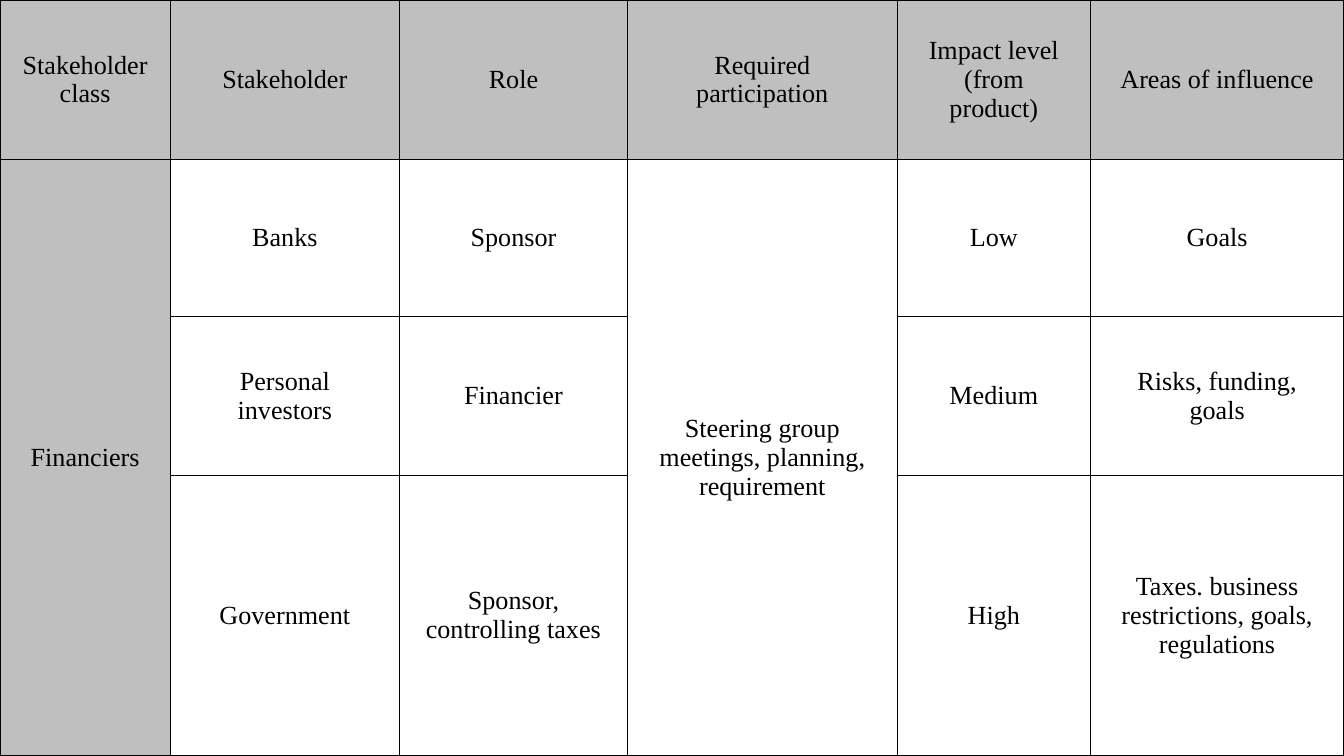
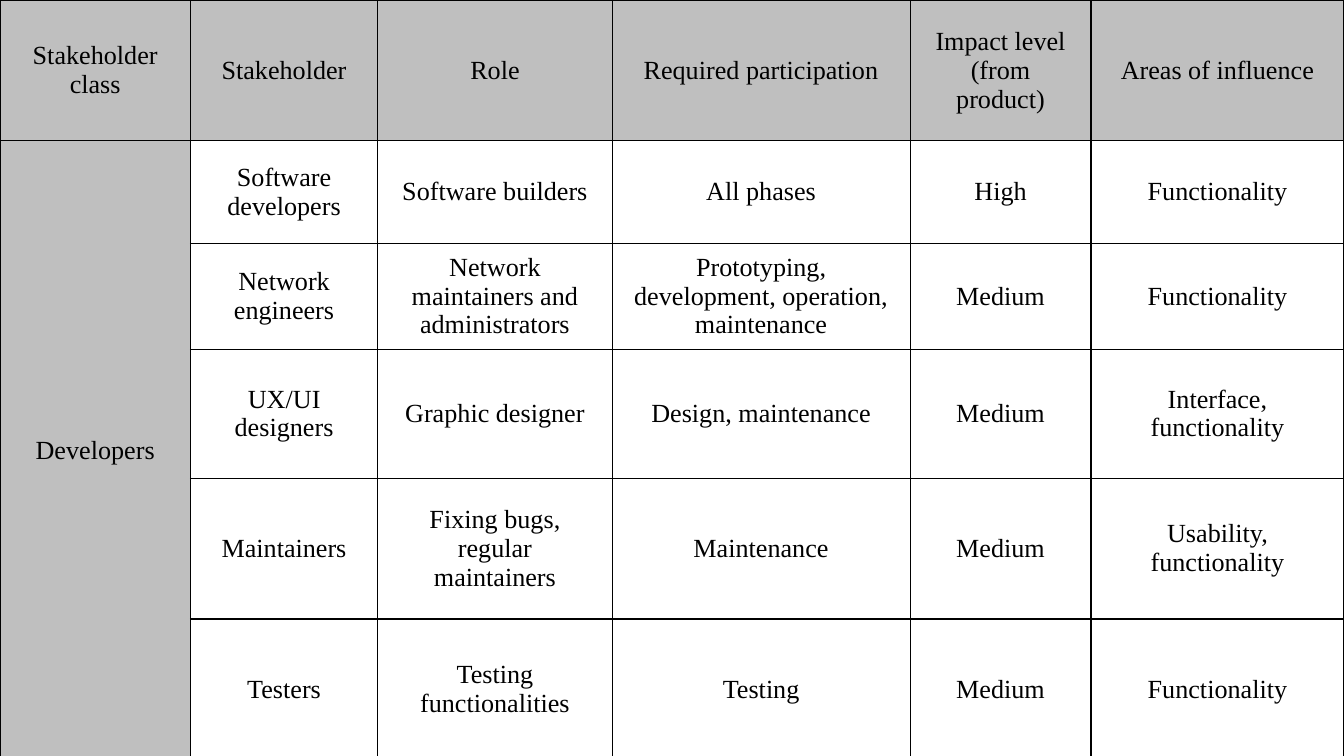
"""Build two stakeholder analysis tables: financiers and developers."""
from lxml import etree
from pptx import Presentation
from pptx import util as u
from pptx.dml.color import RGBColor
from pptx.enum import text
from pptx.oxml import ns

BLACK = RGBColor(0x00, 0x00, 0x00)
WHITE = RGBColor(0xFF, 0xFF, 0xFF)
GREY = RGBColor(0xBF, 0xBF, 0xBF)
BORDER_WIDTH = u.Pt(0.75)
WIDE_INSET = (0.38, 0.18)
NARROW_INSET = (0.08, 0.13)

HEADINGS = ["Stakeholder class", "Stakeholder", "Role", "Required participation",
            "Impact level (from product)", "Areas of influence"]

STAKEHOLDER_CLASSES = [
    {
        "widths": [3.22, 4.33, 4.31, 5.1, 3.65, 4.79],
        "heights": [3.01, 2.97, 3.01, 5.29],
        "merged": [0, 3],
        "rows": [
            ["Financiers", "Banks", "Sponsor",
             "Steering group meetings, planning, requirement", "Low", "Goals"],
            ["", "Personal investors", "Financier", "", "Medium", "Risks, funding, goals"],
            ["", "Government", "Sponsor, controlling taxes", "", "High",
             "Taxes. business restrictions, goals, regulations"],
        ],
    },
    {
        "widths": [3.6, 3.54, 4.43, 5.63, 3.42, 4.78],
        "heights": [2.66, 1.94, 1.94, 2.44, 2.66, 2.66],
        "merged": [0],
        "rows": [
            ["Developers", "Software developers", "Software builders", "All phases",
             "High", "Functionality"],
            ["", "Network engineers", "Network maintainers and administrators",
             "Prototyping, development, operation, maintenance", "Medium", "Functionality"],
            ["", "UX/UI designers", "Graphic designer", "Design, maintenance",
             "Medium", "Interface, functionality"],
            ["", "Maintainers", "Fixing bugs, regular maintainers", "Maintenance",
             "Medium", "Usability, functionality"],
            ["", "Testers", "Testing functionalities", "Testing", "Medium", "Functionality"],
        ],
    },
]


def write(cell, wording, fill=WHITE, inset=WIDE_INSET, size=14, font="Times New Roman"):
    cell.fill.solid()
    cell.fill.fore_color.rgb = fill
    cell.margin_left = cell.margin_right = u.Cm(inset[0])
    cell.margin_top = cell.margin_bottom = u.Cm(inset[1])
    cell.vertical_anchor = text.MSO_ANCHOR.MIDDLE
    paragraph = cell.text_frame.paragraphs[0]
    paragraph.alignment = text.PP_ALIGN.CENTER
    paragraph.font.size = u.Pt(size)
    if wording:
        run = paragraph.add_run()
        run.text = wording
        run.font.size = u.Pt(size)
        run.font.name = font
        run.font.color.rgb = BLACK


def add_borders(cell):
    properties = cell._tc.get_or_add_tcPr()
    for side in ("lnL", "lnR", "lnT", "lnB"):
        line = etree.SubElement(properties, ns.qn(f"a:{side}"), w=str(BORDER_WIDTH))
        solid = etree.SubElement(line, ns.qn("a:solidFill"))
        etree.SubElement(solid, ns.qn("a:srgbClr"), val=str(BLACK))


deck = Presentation()
deck.slide_width = u.Cm(25.4)
deck.slide_height = u.Cm(14.29)

for stakeholders in STAKEHOLDER_CLASSES:
    slide = deck.slides.add_slide(deck.slide_layouts[6])
    rows = [HEADINGS] + stakeholders["rows"]
    table = slide.shapes.add_table(
        len(rows), len(HEADINGS), 0, 0,
        u.Cm(sum(stakeholders["widths"])), u.Cm(sum(stakeholders["heights"]))).table
    table.first_row = False
    table.horz_banding = False
    for column, width in zip(table.columns, stakeholders["widths"]):
        column.width = u.Cm(width)
    for row, height in zip(table.rows, stakeholders["heights"]):
        row.height = u.Cm(height)

    for r, row in enumerate(rows):
        for c, wording in enumerate(row):
            cell = table.cell(r, c)
            add_borders(cell)
            write(cell, wording,
                  fill=GREY if r == 0 or c == 0 else WHITE,
                  inset=NARROW_INSET if wording == "Graphic designer" else WIDE_INSET)

    for c in stakeholders["merged"]:
        table.cell(1, c).merge(table.cell(len(rows) - 1, c))

deck.save("out.pptx")
